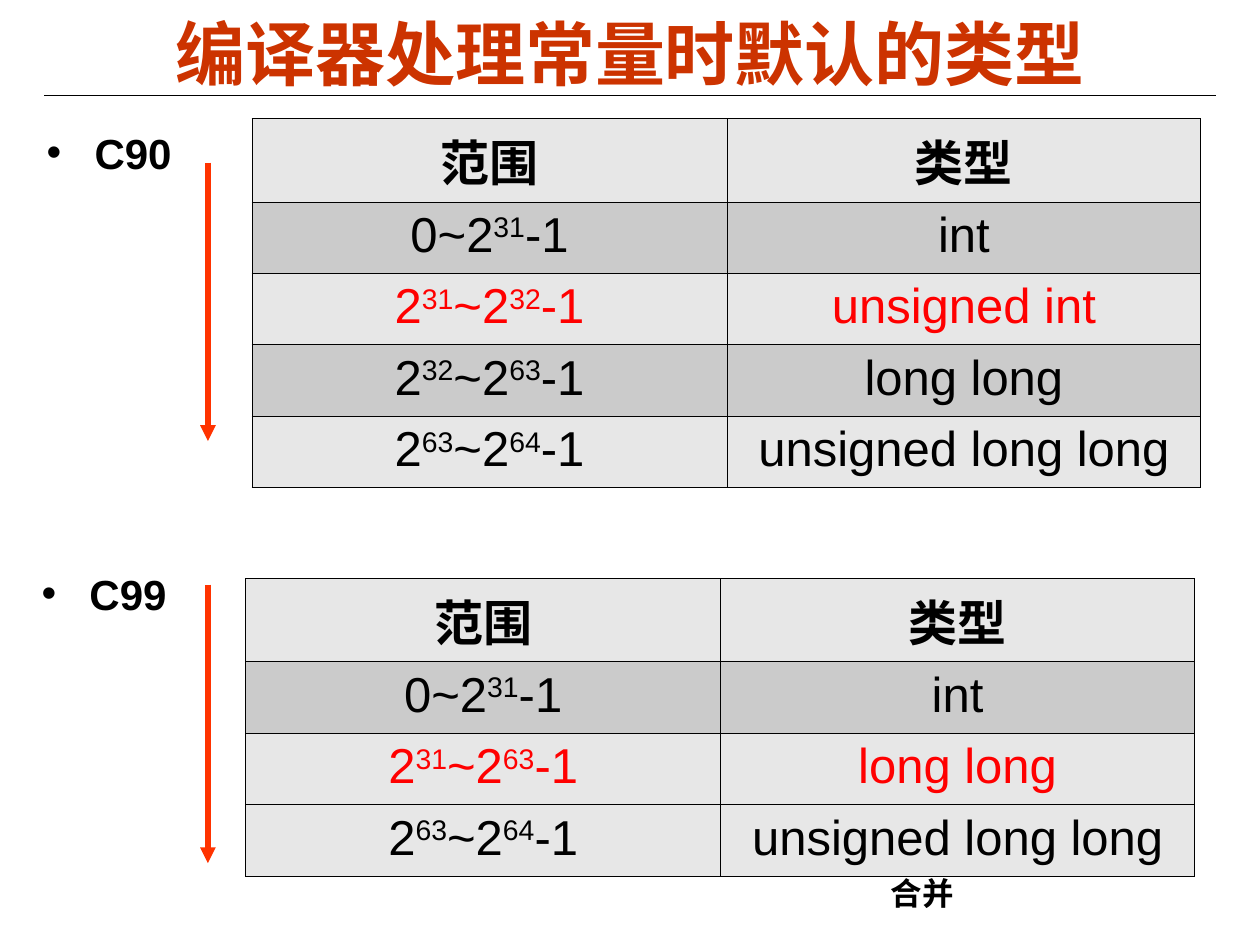
from dataclasses import dataclass

from pptx import Presentation
from pptx.dml.color import RGBColor
from pptx.enum.shapes import MSO_CONNECTOR
from pptx.enum.text import MSO_ANCHOR, MSO_AUTO_SIZE, PP_ALIGN
from pptx.oxml.ns import qn
from pptx.util import Inches, Pt
from lxml import etree

STRAIGHT = MSO_CONNECTOR.STRAIGHT
MIDDLE, TOP = MSO_ANCHOR.MIDDLE, MSO_ANCHOR.TOP
CENTER, LEFT = PP_ALIGN.CENTER, PP_ALIGN.LEFT
NO_FIT, GROW = MSO_AUTO_SIZE.NONE, MSO_AUTO_SIZE.SHAPE_TO_FIT_TEXT

GRID_COLUMNS, GRID_ROWS = 100, 75
CELL = Inches(0.1)


@dataclass(frozen=True)
class Theme:
    font: str = "Arial"
    text: str = "000000"
    title: str = "CC3300"
    arrow: str = "FF3300"
    changed: str = "FF0000"
    light: str = "E7E7E7"
    dark: str = "CBCBCB"
    title_size: float = 40
    table_size: float = 28
    label_size: float = 24
    note_size: float = 18
    rule_width: float = 0.75
    border_width: float = 0.45
    arrow_width: float = 3


@dataclass(frozen=True)
class TypeRow:
    values: str  # text between carets is superscript
    type_name: str
    fill: str
    color: str


@dataclass(frozen=True)
class Standard:
    name: str
    label_at: tuple[float, float]
    line_spacing: float
    table_at: tuple[float, float]
    arrow_top: float
    rows: tuple[TypeRow, ...]


THEME = Theme()
HEADER = TypeRow("范围", "类型", THEME.light, THEME.text)
INT_ROW = TypeRow("0~2^31^-1", "int", THEME.dark, THEME.text)
LARGEST_ROW = TypeRow("2^63^~2^64^-1", "unsigned long long", THEME.light, THEME.text)

STANDARDS = (
    Standard("C90", (2.7, 9.1), 1.05, (20, 9.4), 12.9, (
        HEADER,
        INT_ROW,
        TypeRow("2^31^~2^32^-1", "unsigned int", THEME.light, THEME.changed),
        TypeRow("2^32^~2^63^-1", "long long", THEME.dark, THEME.text),
        LARGEST_ROW,
    )),
    Standard("C99", (2.3, 43.7), 1.15, (19.5, 45.9), 46.4, (
        HEADER,
        INT_ROW,
        TypeRow("2^31^~2^63^-1", "long long", THEME.light, THEME.changed),
        LARGEST_ROW,
    )),
)
COLUMN_WIDTHS = (37.7, 37.6)
ROW_HEIGHT = 5.67
ARROW_COLUMN, ARROW_LENGTH = 16.5, 22.1


def grid(count: float) -> int:
    return round(count * CELL)


def place(shape, left: float, top: float, width: float, height: float) -> None:
    shape.left, shape.top = grid(left), grid(top)
    shape.width, shape.height = grid(width), grid(height)


def style(para, size: float, color: str, bold: bool = True) -> None:
    for span in para.runs:
        span.font.name = THEME.font
        span.font.size = Pt(size)
        span.font.bold = bold
        span.font.color.rgb = RGBColor.from_string(color)


def add_line(page, start: tuple[float, float], end: tuple[float, float],
             color: str, width: float, arrow: bool = False) -> None:
    line = page.shapes.add_connector(STRAIGHT, *map(grid, start + end))
    line.line.color.rgb = RGBColor.from_string(color)
    line.line.width = Pt(width)
    if arrow:
        outline = line.line._get_or_add_ln()
        etree.SubElement(outline, qn("a:tailEnd"), type="triangle")
    etree.SubElement(line._element.spPr, qn("a:effectLst"))


def fill_title(box, text: str) -> None:
    place(box, 5, 1.1, 90, 6.1)
    frame = box.text_frame
    frame.text = text
    frame.auto_size, frame.vertical_anchor = NO_FIT, MIDDLE
    frame.paragraphs[0].alignment = CENTER
    style(frame.paragraphs[0], THEME.title_size, THEME.title)


def fill_label(box, standard: Standard) -> None:
    place(box, *standard.label_at, 90, 5.2)
    frame = box.text_frame
    frame.text = standard.name
    frame.auto_size, frame.vertical_anchor = NO_FIT, TOP
    frame.margin_top = Inches(0.08)
    para = frame.paragraphs[0]
    para.alignment, para.line_spacing = LEFT, standard.line_spacing
    para.space_before = Pt(0)
    properties = para._p.get_or_add_pPr()
    properties.set("marL", str(Inches(0.38)))
    properties.set("indent", str(-Inches(0.38)))
    bullet_color = etree.SubElement(properties, qn("a:buClr"))
    etree.SubElement(bullet_color, qn("a:srgbClr"), val=THEME.text)
    etree.SubElement(properties, qn("a:buFont"), typeface=THEME.font)
    etree.SubElement(properties, qn("a:buChar"), char="•")
    style(para, THEME.label_size, THEME.text)


def add_borders(cell) -> None:
    properties = cell._tc.get_or_add_tcPr()
    for side in ("a:lnL", "a:lnR", "a:lnT", "a:lnB"):
        border = etree.SubElement(properties, qn(side), w=str(Pt(THEME.border_width)))
        paint = etree.SubElement(border, qn("a:solidFill"))
        etree.SubElement(paint, qn("a:srgbClr"), val=THEME.text)


def fill_cell(cell, text: str, row: TypeRow) -> None:
    add_borders(cell)
    cell.fill.solid()
    cell.fill.fore_color.rgb = RGBColor.from_string(row.fill)
    para = cell.text_frame.paragraphs[0]
    para.alignment = CENTER
    for index, piece in enumerate(text.split("^")):
        span = para.add_run()
        span.text = piece
        if index % 2:
            span._r.get_or_add_rPr().set("baseline", "30000")
    style(para, THEME.table_size, row.color, bold=row is HEADER)


def add_type_table(page, standard: Standard) -> None:
    rows = standard.rows
    size = sum(COLUMN_WIDTHS), ROW_HEIGHT * len(rows)
    table = page.shapes.add_table(
        len(rows), len(COLUMN_WIDTHS), *map(grid, standard.table_at + size)).table
    table.first_row = table.horz_banding = False
    for column, width in zip(table.columns, COLUMN_WIDTHS):
        column.width = grid(width)
    for table_row, row in zip(table.rows, rows):
        table_row.height = grid(ROW_HEIGHT)
        for cell, text in zip(table_row.cells, (row.values, row.type_name)):
            fill_cell(cell, text, row)


def add_note(page, text: str) -> None:
    box = page.shapes.add_textbox(*map(grid, (69.7, 68.9, 7, 4)))
    frame = box.text_frame
    frame.text = text
    frame.word_wrap, frame.auto_size = False, GROW
    style(frame.paragraphs[0], THEME.note_size, THEME.text)


def main() -> None:
    deck = Presentation()
    deck.slide_width, deck.slide_height = grid(GRID_COLUMNS), grid(GRID_ROWS)
    page = deck.slides.add_slide(deck.slide_layouts.get_by_name("Two Content"))
    title, *labels = list(page.placeholders)[:3]
    add_line(page, (3.5, 7.6), (96.5, 7.6), THEME.text, THEME.rule_width)
    fill_title(title, "编译器处理常量时默认的类型")
    for label, standard in zip(labels, STANDARDS):
        fill_label(label, standard)
        add_type_table(page, standard)
        top = standard.arrow_top
        add_line(page, (ARROW_COLUMN, top), (ARROW_COLUMN, top + ARROW_LENGTH),
                 THEME.arrow, THEME.arrow_width, arrow=True)
    add_note(page, "合并")
    deck.save("out.pptx")


if __name__ == "__main__":
    main()
